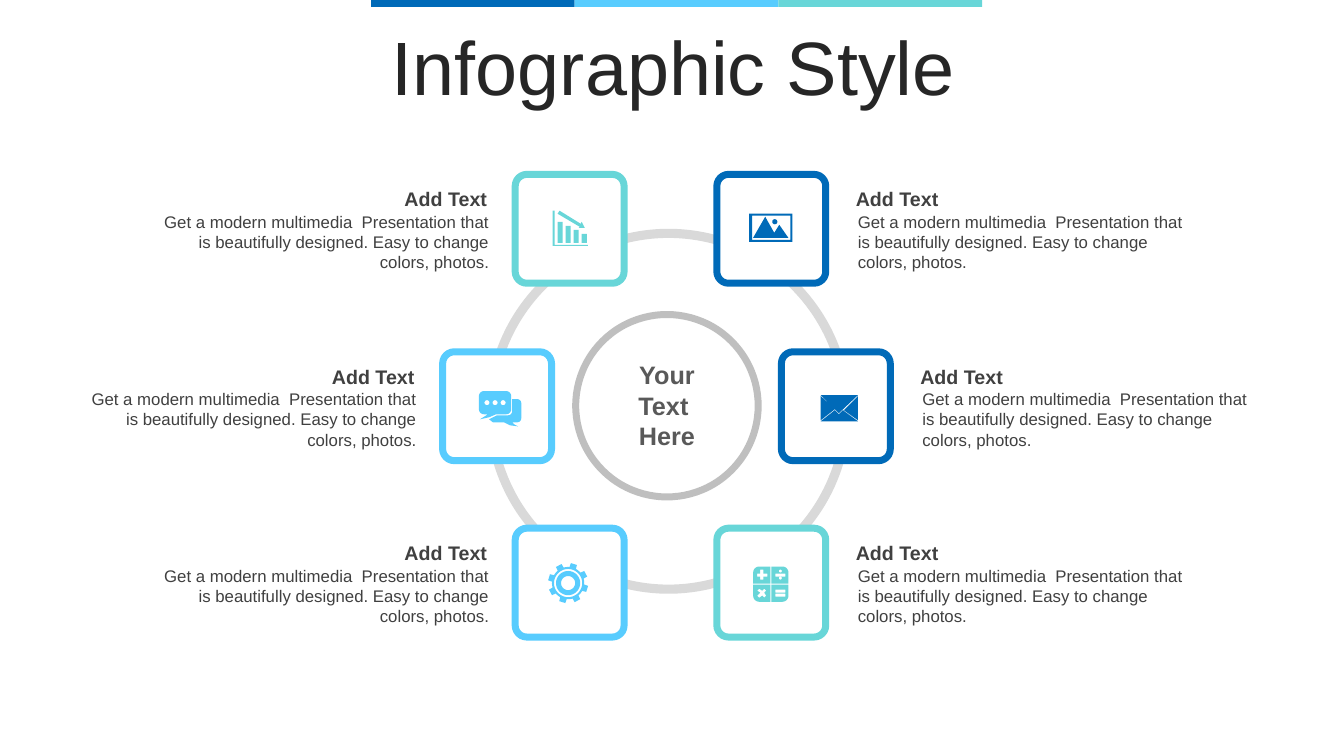
import math

import pptx
import pptx.dml.color
import pptx.enum.shapes
import pptx.enum.text
import pptx.util

NAVY, SKY, TEAL = "006AB8", "58CCFE", "68D6D8"
WHITE, DARK = "FFFFFF", "404040"
TITLE = "Infographic Style"
CENTER_LINES = ["Your", "Text ", "Here"]
HEADING = "Add Text"
BODY = ("Get a modern multimedia  Presentation that is beautifully designed. "
        "Easy to change colors, photos.")
TOP_BARS = [NAVY, SKY, TEAL]
TILE = 108
# left, top, colour, side of the tile that carries the text
TILES = [
    (511, 173, TEAL, "left"), (711, 173, NAVY, "right"),
    (439, 349, SKY, "left"), (775, 349, NAVY, "right"),
    (511, 524, SKY, "left"), (711, 524, TEAL, "right"),
]
LABEL_WIDTH, LABEL_GAP_LEFT, LABEL_GAP_RIGHT = 350, 18, 128

SHAPES = pptx.enum.shapes.MSO_SHAPE
ALIGN = pptx.enum.text.PP_ALIGN
ANCHOR = pptx.enum.text.MSO_ANCHOR


def px(length):
    """100 px to the inch, in EMU."""
    return pptx.util.Emu(round(length * 9144))


def color(value):
    return pptx.dml.color.RGBColor.from_string(value)


def arc(x, y, radius, start, end, steps=6):
    """Points on a circle; degrees run clockwise from the right."""
    angles = [math.radians(start + (end - start) * i / steps) for i in range(steps + 1)]
    return [(x + radius * math.cos(a), y + radius * math.sin(a)) for a in angles]


def disc(x, y, radius):
    return arc(x, y, radius, 0, 360, 36)


def rect(left, top, right, bottom):
    return [(left, top), (right, top), (right, bottom), (left, bottom)]


def plate(left, top, right, bottom, radii):
    """Rectangle with corner radii from top left, clockwise."""
    centers = [(left, top, 1, 1), (right, top, -1, 1),
               (right, bottom, -1, -1), (left, bottom, 1, -1)]
    points = []
    for i, ((x, y, dx, dy), radius) in enumerate(zip(centers, radii)):
        start = 180 + 90 * i
        points += arc(x + dx * radius, y + dy * radius, radius, start, start + 90)
    return points


def gear(x, y, teeth=8, first=-73):
    points = []
    for i in range(teeth):
        middle = first + i * 360 / teeth
        points += arc(x, y, 16, middle - 33, middle - 12, 3)
        points += arc(x, y, 20, middle - 9, middle + 9, 1)
    return points


CHART_ICON = [
    [(548, 209), (548, 243), (583, 243), (583, 244), (548, 244)],
    [(555, 209), (576, 222), (577, 220), (580, 226), (574, 226), (575, 225), (553, 212)],
] + [rect(553 + 8 * i, 220 + 4 * i, 558 + 8 * i, 241) for i in range(4)]
CHART_ICON[0] = [(548, 209), (550, 209), (550, 243), (583, 243), (583, 244), (548, 244)]

PHOTO_ICON = [
    rect(743, 212, 786, 240), rect(746, 214, 784, 238), disc(768.5, 220, 2.5),
    [(759, 215), (768, 231), (773, 223), (782, 236), (747, 236)],
]
CHAT_ICON = [
    plate(475, 388, 507, 411, [5] * 4),
    [(484, 411), (492, 411), (485, 414), (476, 416)],
    [(508, 396)] + arc(513, 400, 4, -90, 0) + arc(513, 415, 4, 0, 90)
    + [(508, 419), (510, 421), (514, 423), (506, 422), (500, 419), (489, 419),
       (485, 416), (493, 412)] + arc(504, 408, 4, 90, 0),
] + [disc(483 + 8 * i, 399.5, 2.5) for i in range(3)]
MAIL_ICON = [
    [(814, 392), (851, 392), (832, 410)],
    [(814, 393), (828, 406), (814, 417)],
    [(851, 393), (851, 417), (837, 407)],
    [(836, 407), (851, 418), (814, 418), (828, 407), (832, 411)],
]
GEAR_ICON = [gear(563.5, 578.5)] + [disc(563.5, 578.5, r) for r in (14, 12, 7)]
CALCULATOR_ICON = [
    plate(747, 562, 764, 579, (6, 0, 0, 0)), plate(765, 562, 782, 579, (0, 6, 0, 0)),
    plate(765, 580, 782, 597, (0, 0, 6, 0)), plate(747, 580, 764, 597, (0, 0, 0, 6)),
    [(754, 565), (757, 565), (757, 569), (761, 569), (761, 572), (757, 572),
     (757, 575), (754, 575), (754, 572), (751, 572), (751, 569), (754, 569)],
    [(753, 584), (756, 586), (758, 584), (760, 586), (758, 588), (760, 591),
     (758, 593), (756, 591), (753, 593), (751, 591), (754, 588), (751, 586)],
    rect(769, 569, 779, 572), disc(774, 566.5, 1.5), disc(774, 573.5, 1.5),
    rect(769, 585, 779, 588), rect(769, 589, 779, 592),
]
ICONS = [CHART_ICON, PHOTO_ICON, CHAT_ICON, MAIL_ICON, GEAR_ICON, CALCULATOR_ICON]


def paint(shape, fill, line=None):
    shape.shadow.inherit = False
    shape.fill.solid()
    shape.fill.fore_color.rgb = color(fill)
    if line:
        shape.line.color.rgb = color(line)
        shape.line.width = pptx.util.Pt(5)
    else:
        shape.line.fill.background()


def add_shape(page, kind, left, top, width, height, fill, line=None):
    shape = page.shapes.add_shape(kind, px(left), px(top), px(width), px(height))
    paint(shape, fill, line)
    return shape


def add_icon(page, outlines, fill):
    contours = [[(px(x), px(y)) for x, y in outline] for outline in outlines]
    builder = page.shapes.build_freeform(*contours[0][0])
    builder.add_line_segments(contours[0][1:])
    for contour in contours[1:]:
        builder.move_to(*contour[0])
        builder.add_line_segments(contour[1:])
    paint(builder.convert_to_shape(), fill)


def add_text(page, left, top, width, height, lines, size, ink, align, bold=False):
    box = page.shapes.add_textbox(px(left), px(top), px(width), px(height))
    frame = box.text_frame
    frame.word_wrap = True
    for i, line in enumerate(lines):
        para = frame.paragraphs[0] if i == 0 else frame.add_paragraph()
        para.alignment = align
        span = para.add_run()
        span.text = line
        span.font.name = "Arial"
        span.font.size = pptx.util.Pt(size)
        span.font.bold = bold
        span.font.color.rgb = color(ink)
    return frame


def main():
    deck = pptx.Presentation()
    deck.slide_width, deck.slide_height = px(1333), px(750)
    page = deck.slides.add_slide(deck.slide_layouts[6])

    title = add_text(page, 35, 31, 1266, 79, [TITLE], 54, "262626", ALIGN.CENTER)
    title.vertical_anchor = ANCHOR.MIDDLE
    title.paragraphs[0].line_spacing = 0.9
    for i, fill in enumerate(TOP_BARS):
        add_shape(page, SHAPES.RECTANGLE, 368 + 202 * i, 0, 202, 7, fill)

    add_shape(page, SHAPES.OVAL, 571, 312, 181, 181, WHITE, "BFBFBF")
    add_text(page, 614, 352, 95, 101, CENTER_LINES, 18, "595959", ALIGN.CENTER, True)
    ring = add_shape(page, SHAPES.DONUT, 482, 227, 362, 362, "D9D9D9")
    ring.adjustments[0] = 0.025

    for (left, top, accent, side), icon in zip(TILES, ICONS):
        tile = add_shape(page, SHAPES.ROUNDED_RECTANGLE, left, top, TILE, TILE, WHITE, accent)
        tile.adjustments[0] = 0.107
        if side == "left":
            align, label_left = ALIGN.RIGHT, left - LABEL_GAP_LEFT - LABEL_WIDTH
        else:
            align, label_left = ALIGN.LEFT, left + LABEL_GAP_RIGHT
        add_text(page, label_left, top + 8, LABEL_WIDTH, 34, [HEADING], 14, DARK, align, True)
        add_text(page, label_left + 2, top + 32, LABEL_WIDTH, 71, [BODY], 12, DARK, align)
        add_icon(page, icon, accent)

    deck.save("out.pptx")


if __name__ == "__main__":
    main()
